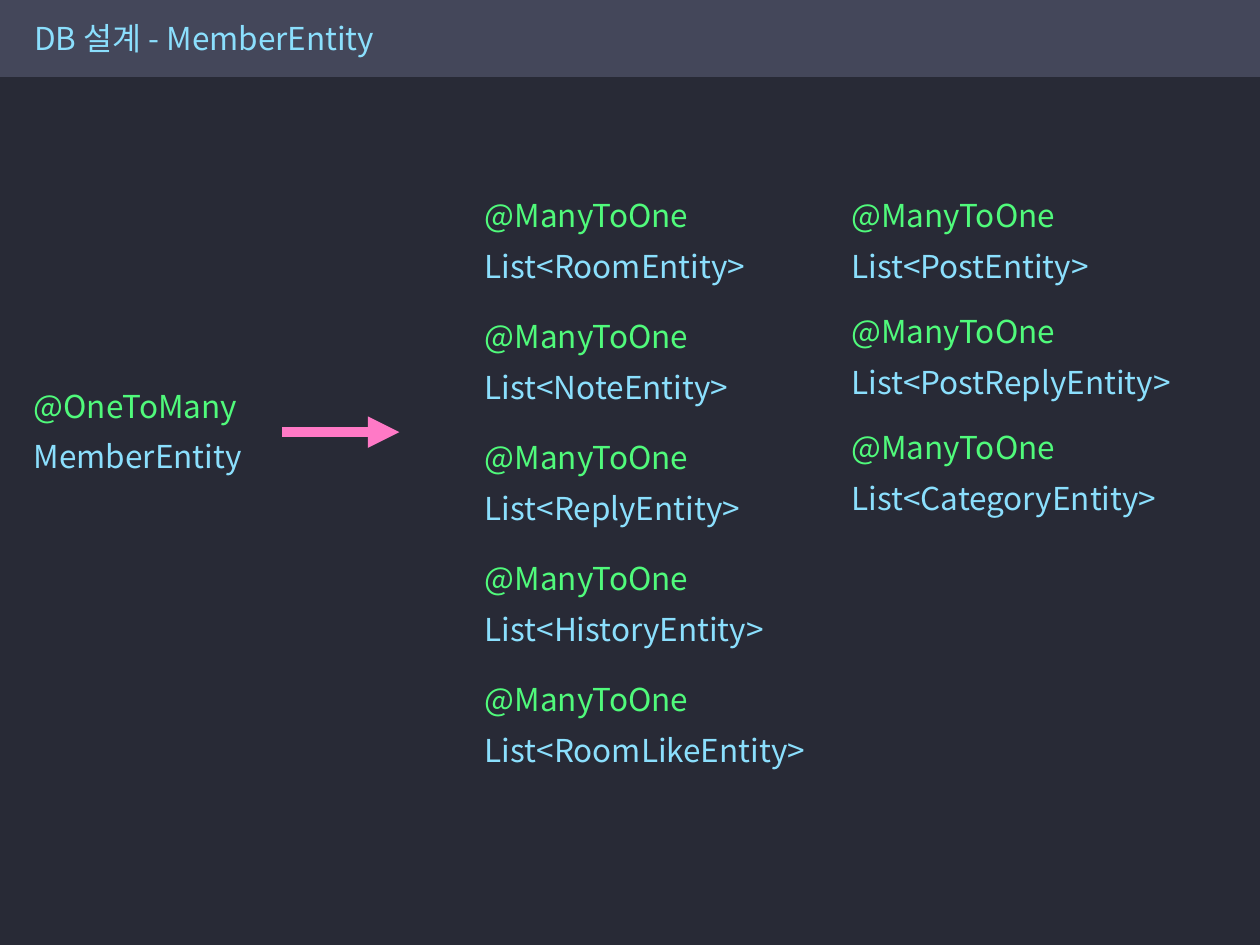
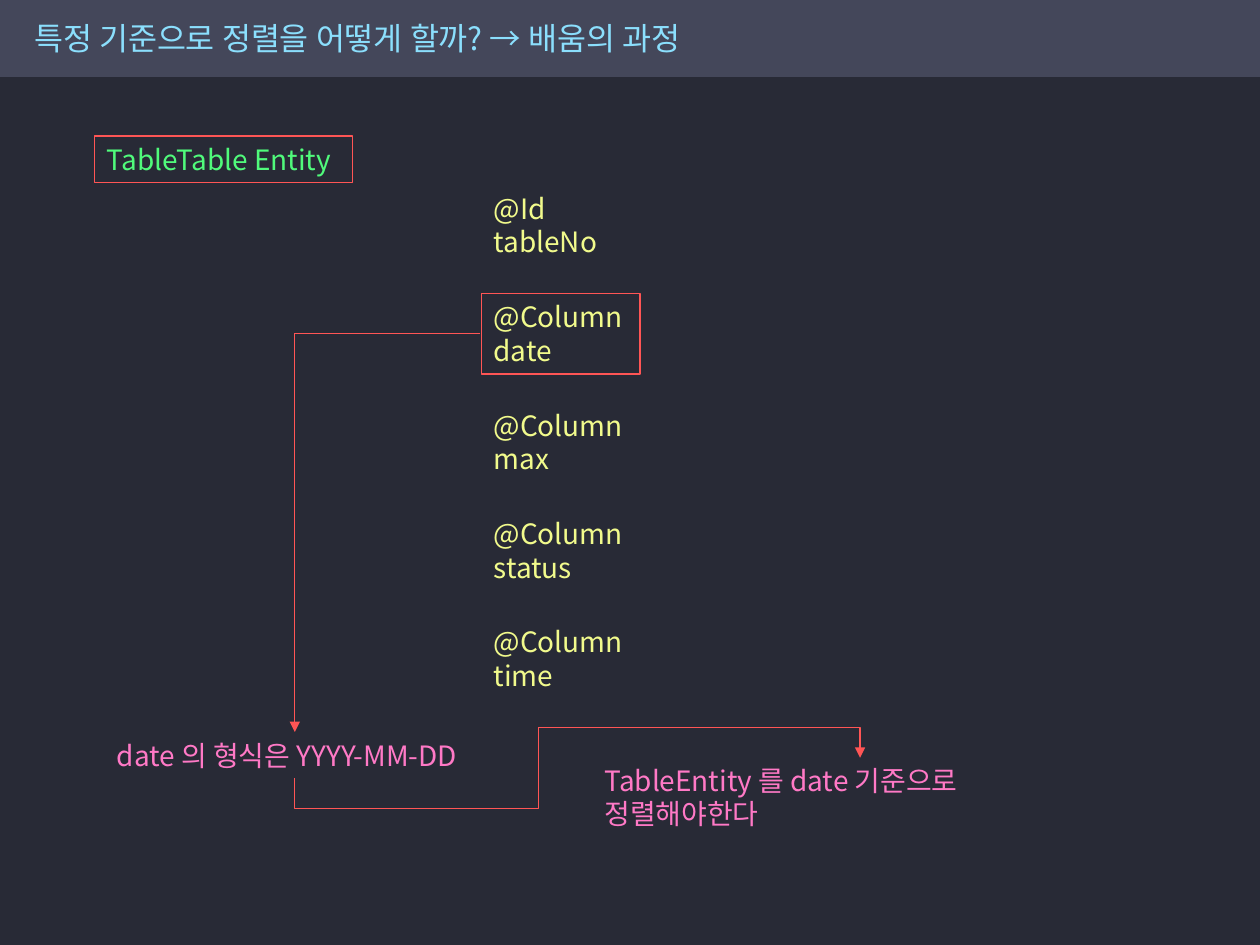
import pptx
import pptx.util
import pptx.dml.color
import pptx.enum.shapes
import pptx.enum.text
import pptx.oxml
import pptx.oxml.ns
import lxml.etree

Inches = pptx.util.Inches
Pt = pptx.util.Pt
RGBColor = pptx.dml.color.RGBColor
qn = pptx.oxml.ns.qn

FONT = "Noto Sans CJK KR"
BACKGROUND = RGBColor(0x28, 0x2A, 0x36)
BAND = RGBColor(0x44, 0x47, 0x5A)
BLUE = RGBColor(0x8B, 0xDF, 0xFD)
GREEN = RGBColor(0x50, 0xFA, 0x7B)
PINK = RGBColor(0xFF, 0x79, 0xC6)
RED = RGBColor(0xFF, 0x55, 0x55)
YELLOW = RGBColor(0xF1, 0xFA, 0x8C)

MEMBER_TITLE = ("DB 설계 - MemberEntity", 3.57)
MEMBER = ("@OneToMany", 1.84, "MemberEntity", 1.88)
RELATION, RELATION_WIDTH = "@ManyToOne", 1.83
RELATION_COLUMNS = [
    {"left": 3.75, "step": 0.96, "lists": [
        ("List<RoomEntity>", 2.32),
        ("List<NoteEntity>", 2.2),
        ("List<ReplyEntity>", 2.29),
        ("List<HistoryEntity>", 2.49),
        ("List<RoomLikeEntity>", 2.81),
    ]},
    {"left": 6.66, "step": 0.92, "lists": [
        ("List<PostEntity>", 2.16),
        ("List<PostReplyEntity>", 2.82),
        ("List<CategoryEntity>", 2.71),
    ]},
]
RELATIONS_TOP = 1.51
LINE_HEIGHT = 0.4

SORT_TITLE = ("특정 기준으로 정렬을 어떻게 할까? → 배움의 과정", 6.56)
ENTITY = "TableTable Entity"
FIELDS = [
    ("@Id", "tableNo"),
    ("@Column", "date"),
    ("@Column", "max"),
    ("@Column", "status"),
    ("@Column", "time"),
]
SORT_FIELD = "date"
FIELDS_TOP, FIELD_STEP = 1.47, 0.86
FORMAT_NOTE = "date 의 형식은 YYYY-MM-DD"
SORT_NOTE = "TableEntity 를 date 기준으로 정렬해야한다"


def write(shape, lines, size, color, wrap=True):
    frame = shape.text_frame
    frame.text = "\n".join(lines)
    frame.word_wrap = wrap
    frame.auto_size = pptx.enum.text.MSO_AUTO_SIZE.SHAPE_TO_FIT_TEXT
    frame.vertical_anchor = pptx.enum.text.MSO_ANCHOR.TOP
    for paragraph in frame.paragraphs:
        paragraph.alignment = pptx.enum.text.PP_ALIGN.LEFT
        paragraph.font.size = Pt(size)
        paragraph.font.color.rgb = color
        paragraph.font.name = FONT
        defaults = paragraph._p.pPr.find(qn("a:defRPr"))
        lxml.etree.SubElement(defaults, qn("a:ea")).set("typeface", FONT)


def add_text(shapes, place, lines, size, color, wrap=True):
    box = shapes.add_textbox(*map(Inches, place))
    write(box, lines, size, color, wrap)


def add_rectangle(slide, place):
    rectangle = slide.shapes.add_shape(
        pptx.enum.shapes.MSO_SHAPE.RECTANGLE, *map(Inches, place))
    rectangle.shadow.inherit = False
    return rectangle


def add_outlined_text(slide, place, lines, color):
    rectangle = add_rectangle(slide, place)
    rectangle.fill.background()
    rectangle.line.color.rgb = RED
    rectangle.line.width = Pt(0.75)
    write(rectangle, lines, 16, color)


def add_arrow(slide, kind, begin, end, color, width):
    arrow = slide.shapes.add_connector(kind, *map(Inches, begin + end))
    arrow.line.color.rgb = color
    arrow.line.width = Pt(width)
    tail = lxml.etree.SubElement(arrow.line._get_or_add_ln(), qn("a:tailEnd"))
    tail.set("type", "triangle")
    lxml.etree.SubElement(arrow._element.spPr, qn("a:effectLst"))
    return arrow


def add_bent_arrow(slide, place, preset, rotation, flips, adjustments=()):
    left, top, width, height = place
    arrow = add_arrow(slide, pptx.enum.shapes.MSO_CONNECTOR.ELBOW,
                      (left, top), (left + width, top + height), RED, 0.75)
    properties = arrow._element.spPr
    transform = properties.find(qn("a:xfrm"))
    transform.set("rot", str(rotation * 60000))
    for flip in flips:
        transform.set(flip, "1")
    geometry = properties.find(qn("a:prstGeom"))
    geometry.set("prst", preset)
    guides = geometry.find(qn("a:avLst"))
    if guides is None:
        guides = lxml.etree.SubElement(geometry, qn("a:avLst"))
    for number, value in enumerate(adjustments, 1):
        guide = lxml.etree.SubElement(guides, qn("a:gd"))
        guide.set("name", f"adj{number}")
        guide.set("fmla", f"val {value}")


def add_slide(presentation, title_text, title_width):
    slide = presentation.slides.add_slide(presentation.slide_layouts[5])
    band = add_rectangle(slide, (0, 0, 10, 0.61))
    band.fill.solid()
    band.fill.fore_color.rgb = BAND
    band.line.fill.background()
    title = slide.shapes.title
    title._element.addprevious(band._element)
    title.left, title.top, title.width, title.height = map(
        Inches, (0.17, 0.1, title_width, LINE_HEIGHT))
    write(title, [title_text], 18, BLUE)
    return slide


def add_relation(slide, left, top, annotation, annotation_width, entity, entity_width):
    group = slide.shapes.add_group_shape()
    add_text(group.shapes, (left, top + LINE_HEIGHT, entity_width, LINE_HEIGHT),
             [entity], 18, BLUE, wrap=False)
    add_text(group.shapes, (left, top, annotation_width, LINE_HEIGHT),
             [annotation], 18, GREEN, wrap=False)


def build_member_slide(presentation):
    slide = add_slide(presentation, *MEMBER_TITLE)
    add_relation(slide, 0.17, 3.02, *MEMBER)
    for column in RELATION_COLUMNS:
        for row, (entity, width) in enumerate(column["lists"]):
            add_relation(slide, column["left"], RELATIONS_TOP + row * column["step"],
                         RELATION, RELATION_WIDTH, entity, width)
    add_arrow(slide, pptx.enum.shapes.MSO_CONNECTOR.STRAIGHT,
              (2.24, 3.43), (3.17, 3.43), PINK, 6)


def build_sort_slide(presentation):
    slide = add_slide(presentation, *SORT_TITLE)
    add_outlined_text(slide, (0.75, 1.08, 2.05, 0.37), [ENTITY], GREEN)
    for row, field in enumerate(FIELDS):
        top = FIELDS_TOP + row * FIELD_STEP
        if field[1] == SORT_FIELD:
            add_outlined_text(slide, (3.82, top, 1.26, 0.64), field, YELLOW)
        else:
            add_text(slide.shapes, (3.82, top, 1.81, 0.64), field, 16, YELLOW)
    add_text(slide.shapes, (0.83, 5.81, 3.04, 0.37), [FORMAT_NOTE], 16, PINK)
    add_text(slide.shapes, (4.7, 6.01, 4.25, 0.37), [SORT_NOTE], 16, PINK)
    add_bent_arrow(slide, (2.34, 2.65, 1.47, 3.16), "bentConnector2", 180, ["flipV"])
    add_bent_arrow(slide, (4.5, 3.85, 0.16, 4.49), "bentConnector5", 90,
                   ["flipH", "flipV"], (-151900, 43200, 251900))


def main():
    presentation = pptx.Presentation()
    presentation.slide_width = Inches(10)
    presentation.slide_height = Inches(7.5)
    background = presentation.slide_master.background.fill
    background.solid()
    background.fore_color.rgb = BACKGROUND
    build_member_slide(presentation)
    build_sort_slide(presentation)
    presentation.save("out.pptx")


if __name__ == "__main__":
    main()
